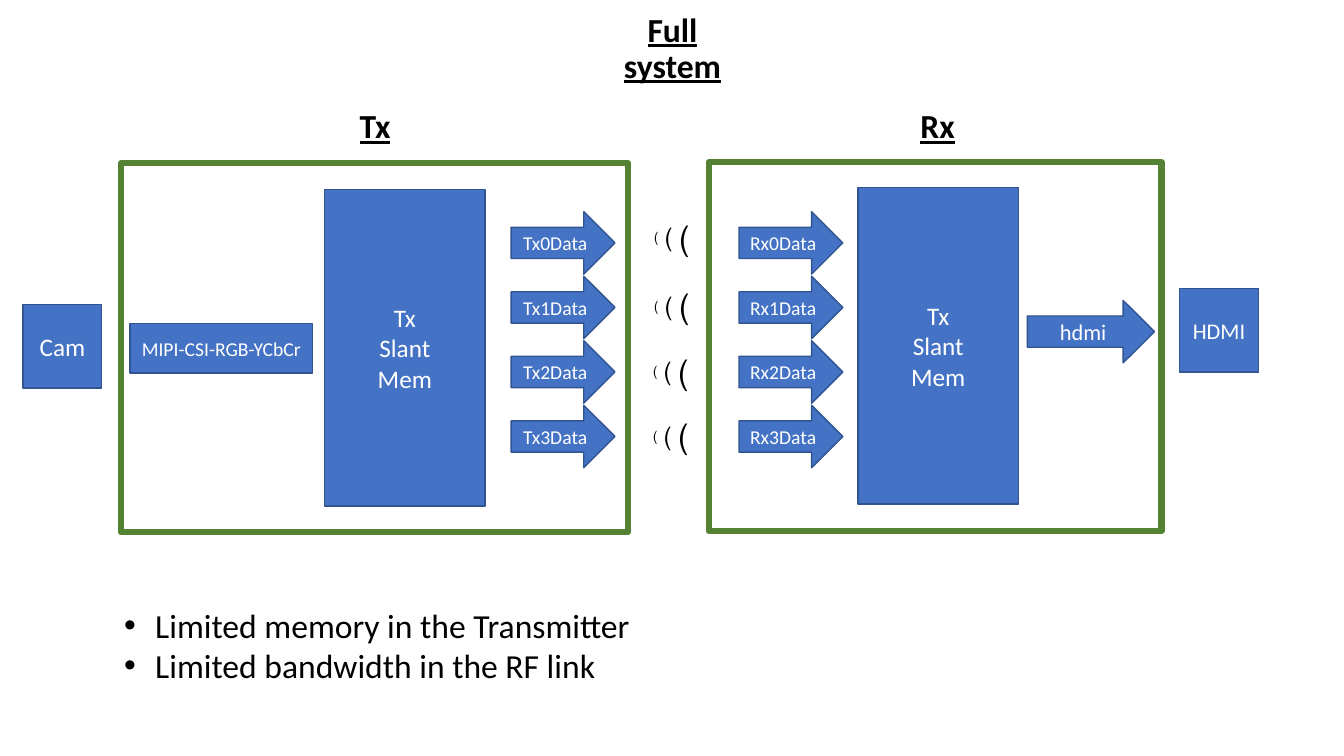
from lxml import etree
from pptx import Presentation
from pptx.dml.color import RGBColor
from pptx.enum.shapes import MSO_SHAPE
from pptx.enum.text import MSO_ANCHOR, MSO_AUTO_SIZE, PP_ALIGN
from pptx.oxml.ns import qn
from pptx.util import Inches, Pt

BLUE, DARK_BLUE, GREEN = "4472C4", "325491", "548235"
BLACK, WHITE = "000000", "FFFFFF"
HEADING = {"size": Pt(24), "bold": True, "underline": True}
ROW_TOP, ROW_STEP = 2.1, 0.64
WAVE_ORIGINS = [(6.39, 2.1), (6.39, 2.78), (6.38, 3.43), (6.38, 4.07)]
# Each wave: offset from the origin (left, top), box size, font size
WAVES = [(0, 0.12, 0.24, 0.27, 10), (0.1, 0.05, 0.28, 0.4, 18),
         (0.25, 0, 0.3, 0.5, 24)]


def color(value):
    return RGBColor.from_string(value)


def place(shape, left, top, width, height):
    shape.left, shape.top = Inches(left), Inches(top)
    shape.width, shape.height = Inches(width), Inches(height)


def write(shape, lines, font, font_color=BLACK, align=PP_ALIGN.CENTER,
          spacing=1.0, wrap=True, anchor=MSO_ANCHOR.MIDDLE):
    frame = shape.text_frame
    frame.text = "\n".join(lines)
    frame.auto_size = MSO_AUTO_SIZE.NONE
    frame.word_wrap = wrap
    frame.vertical_anchor = anchor
    for paragraph in frame.paragraphs:
        paragraph.alignment = align
        paragraph.line_spacing = spacing
        paragraph.space_before = Pt(0)
        for run in paragraph.runs:
            for name, value in {"name": "Calibri", **font}.items():
                setattr(run.font, name, value)
            run.font.color.rgb = color(font_color)
    return frame


def add_block(slide, kind, box, lines, size):
    shape = slide.shapes.add_shape(kind, *map(Inches, box))
    shape.shadow.inherit = False
    shape.fill.solid()
    shape.fill.fore_color.rgb = color(BLUE)
    shape.line.color.rgb = color(DARK_BLUE)
    shape.line.width = Pt(1)
    write(shape, lines, {"size": Pt(size)}, WHITE)


def add_frame(slide, box):
    shape = slide.shapes.add_shape(MSO_SHAPE.RECTANGLE, *map(Inches, box))
    shape.shadow.inherit = False
    shape.fill.background()
    shape.line.color.rgb = color(GREEN)
    shape.line.width = Pt(4.5)


def add_heading(slide, text, left):
    box = slide.shapes.add_textbox(*map(Inches, (left, 1.05, 1.66, 0.44)))
    write(box, [text], HEADING, spacing=0.9)


def add_data_arrows(slide, prefix, left):
    for row in range(4):
        box = (left, ROW_TOP + row * ROW_STEP, 1.03, 0.62)
        add_block(slide, MSO_SHAPE.RIGHT_ARROW, box, [f"{prefix}{row}Data"], 14)


def add_radio_waves(slide, left, top):
    for x, y, width, height, size in WAVES:
        box = slide.shapes.add_textbox(Inches(left + x), Inches(top + y),
                                       Inches(width), Inches(height))
        frame = write(box, [")"], {"size": Pt(size)}, align=PP_ALIGN.RIGHT,
                      wrap=False, anchor=MSO_ANCHOR.TOP)
        # Right-to-left text mirrors the bracket
        frame.paragraphs[0]._p.get_or_add_pPr().set("rtl", "1")


def fill_list(body, lines):
    place(body, 1.13, 5.95, 5.35, 0.91)
    frame = write(body, lines, {"size": Pt(24)}, align=PP_ALIGN.LEFT,
                  anchor=MSO_ANCHOR.TOP)
    for paragraph in frame.paragraphs:
        properties = paragraph._p.get_or_add_pPr()
        properties.set("marL", str(Inches(0.31)))
        properties.set("indent", str(-Inches(0.31)))
        etree.SubElement(properties, qn("a:buFont"), typeface="Arial")
        etree.SubElement(properties, qn("a:buChar"), char="•")


def main():
    presentation = Presentation()
    presentation.slide_width = Inches(13.33)
    presentation.slide_height = Inches(7.5)
    slide = presentation.slides.add_slide(presentation.slide_layouts[1])

    # Title and section headings
    title = slide.shapes.title
    place(title, 5.84, 0.27, 1.66, 0.44)
    write(title, ["Full system"], HEADING, spacing=0.9)
    add_heading(slide, "Tx", 2.89)
    add_heading(slide, "Rx", 8.47)

    # Devices, memories and links
    rectangle = MSO_SHAPE.RECTANGLE
    memory = ["Tx", "Slant", "Mem"]
    add_block(slide, rectangle, (0.23, 3.02, 0.78, 0.83), ["Cam"], 18)
    add_block(slide, rectangle, (11.7, 2.86, 0.78, 0.83), ["HDMI"], 16)
    add_block(slide, rectangle, (1.29, 3.21, 1.81, 0.49),
              ["MIPI-CSI-RGB-YCbCr"], 14)
    add_block(slide, rectangle, (3.22, 1.88, 1.59, 3.14), memory, 18)
    add_block(slide, rectangle, (8.51, 1.86, 1.59, 3.14), memory, 18)
    add_block(slide, MSO_SHAPE.RIGHT_ARROW, (10.19, 2.98, 1.26, 0.62),
              ["hdmi"], 16)

    # Four radio channels
    add_data_arrows(slide, "Tx", 5.07)
    add_data_arrows(slide, "Rx", 7.33)
    for left, top in WAVE_ORIGINS:
        add_radio_waves(slide, left, top)

    # Transmitter and receiver outlines
    add_frame(slide, (1.2, 1.62, 5.03, 3.66))
    add_frame(slide, (7.03, 1.61, 4.49, 3.66))

    # Constraints
    fill_list(slide.placeholders[1], ["Limited memory in the Transmitter",
                                      "Limited bandwidth in the RF link"])
    presentation.save("out.pptx")


if __name__ == "__main__":
    main()
